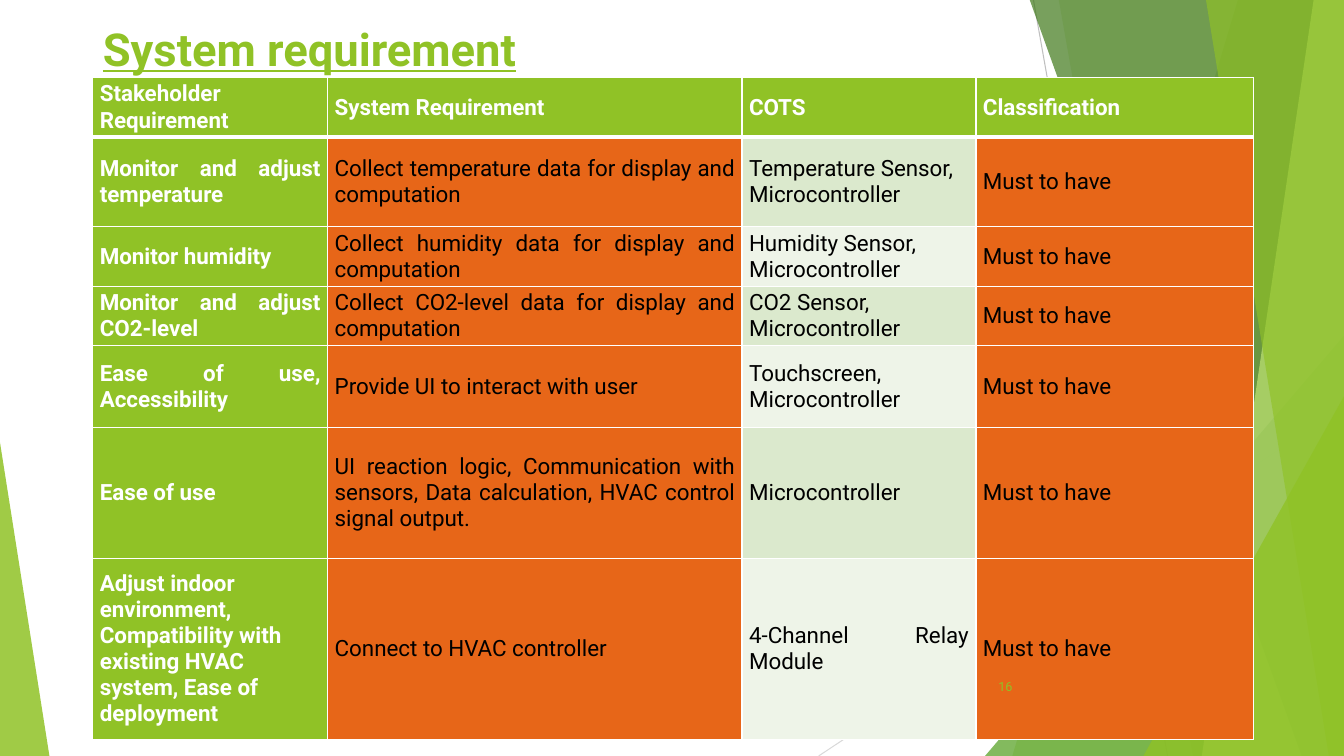
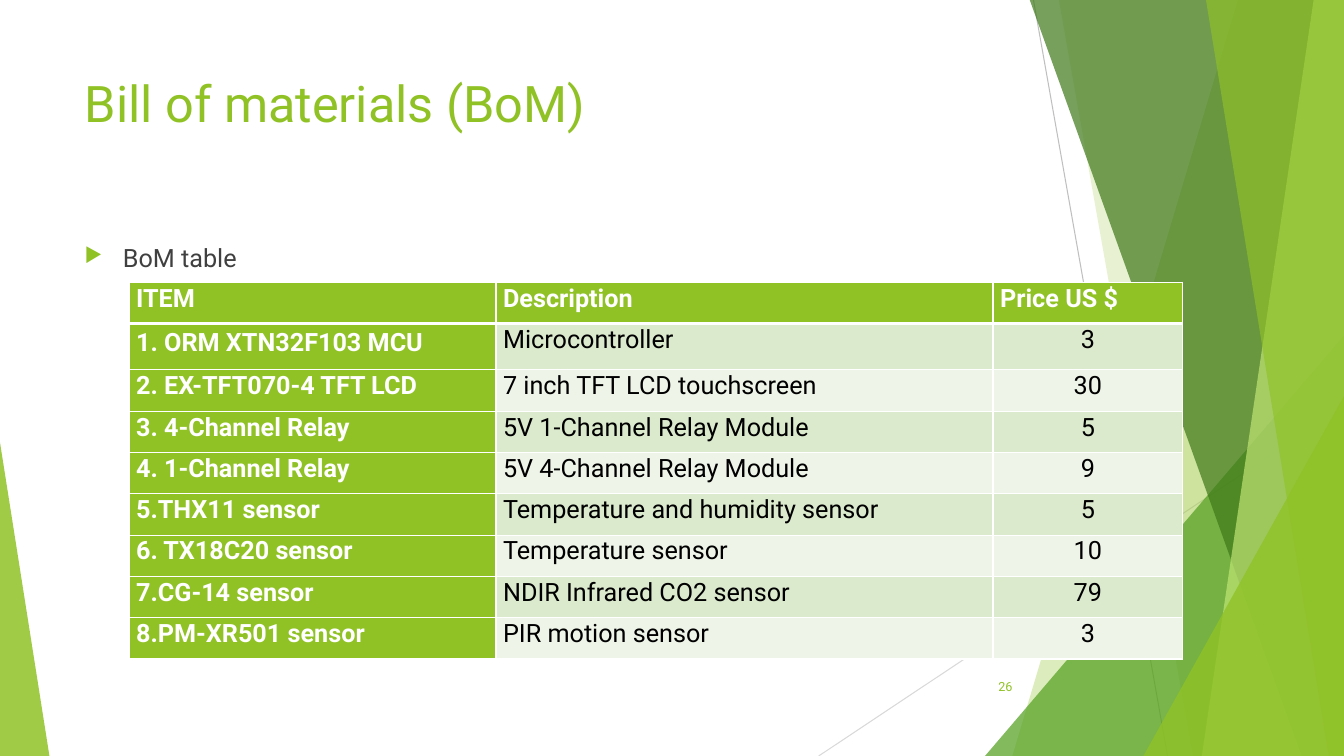
from dataclasses import dataclass, field
from typing import Any

from lxml.etree import SubElement
from pptx import Presentation
from pptx.dml.color import RGBColor
from pptx.enum.shapes import MSO_CONNECTOR, MSO_SHAPE
from pptx.enum.text import MSO_ANCHOR, MSO_AUTO_SIZE, PP_ALIGN
from pptx.oxml import parse_xml
from pptx.oxml.ns import nsdecls, qn
from pptx.util import Inches, Pt

FONT = "Roboto"
GREEN = "90C226"
MID_GREEN = "54A021"
DARK_GREEN = "3F7819"
LIME = "C0E474"
ORANGE = "E76618"
BAND_DARK = "DBE9CD"
BAND_LIGHT = "EEF4E8"
WHITE = "FFFFFF"
BLACK = "000000"
GREY = "404040"

SLIDE_WIDTH, SLIDE_HEIGHT = 13.33, 7.5
BAND_TOP = -0.01
LEFT, JUSTIFY, CENTER = PP_ALIGN.LEFT, PP_ALIGN.JUSTIFY, PP_ALIGN.CENTER

Box = tuple[float, float, float, float]


@dataclass(frozen=True)
class Ray:
    start: tuple[float, float]
    end: tuple[float, float]
    color: str


@dataclass(frozen=True)
class Band:
    """A panel reaching the right edge, with a slanted left side."""
    top_left: float
    bottom_left: float
    color: str
    opacity: int


@dataclass(frozen=True)
class Triangle:
    box: Box
    apex: float
    color: str
    opacity: int


@dataclass(frozen=True)
class TableDesign:
    left: float
    top: float
    column_widths: list[float]
    row_heights: list[float]
    font_size: float
    anchor: MSO_ANCHOR
    line_spacing: float
    alignments: list[PP_ALIGN]
    column_fills: list[tuple[str, str]]
    rows: list[tuple[str, ...]]
    exceptions: dict[tuple[int, int], dict[str, Any]] = field(default_factory=dict)


DECORATIONS = [
    Ray((10.25, 0), (11.58, SLIDE_HEIGHT), "BFBFBF"),
    Ray((SLIDE_WIDTH, 4.03), (8.12, SLIDE_HEIGHT), "D9D9D9"),
    Band(12.28, 10.04, GREEN, 30),
    Band(10.5, 11.83, GREEN, 20),
    Triangle((9.77, 3.33, 3.56, 4.17), 1, MID_GREEN, 72),
    Band(10.21, 12.91, DARK_GREEN, 70),
    Band(13.03, 11.92, LIME, 70),
    Band(11.96, 13.18, GREEN, 65),
    Triangle((11.34, 3.93, 1.99, 3.57), 1, GREEN, 80),
    Triangle((0, 4.39, 0.49, 3.11), 0, GREEN, 85),
]

GREEN_COLUMN = (GREEN, GREEN)
ORANGE_COLUMN = (ORANGE, ORANGE)
BANDED_COLUMN = (BAND_DARK, BAND_LIGHT)
MUST = "Must to have"

REQUIREMENTS = TableDesign(
    left=0.92, top=0.77,
    column_widths=[2.33, 4.11, 2.32, 2.75],
    row_heights=[0.59, 0.89, 0.59, 0.59, 0.81, 1.3, 1.8],
    font_size=16, anchor=MSO_ANCHOR.MIDDLE, line_spacing=1.0,
    alignments=[JUSTIFY, JUSTIFY, LEFT, JUSTIFY],
    column_fills=[GREEN_COLUMN, ORANGE_COLUMN, BANDED_COLUMN, ORANGE_COLUMN],
    rows=[
        ("Stakeholder Requirement", "System Requirement", "COTS", "Classification"),
        ("Monitor and adjust temperature",
         "Collect temperature data for display and computation",
         "Temperature Sensor, Microcontroller", MUST),
        ("Monitor humidity", "Collect humidity data for display and computation",
         "Humidity Sensor, Microcontroller", MUST),
        ("Monitor and adjust CO2-level",
         "Collect CO2-level data for display and computation",
         "CO2 Sensor, Microcontroller", MUST),
        ("Ease of use, Accessibility", "Provide UI to interact with user",
         "Touchscreen, Microcontroller", MUST),
        ("Ease of use",
         "UI reaction logic, Communication with sensors, Data calculation, "
         "HVAC control signal output.", "Microcontroller", MUST),
        ("Adjust indoor environment, Compatibility with existing HVAC system, "
         "Ease of deployment", "Connect to HVAC controller",
         "4-Channel Relay Module", MUST),
    ],
    exceptions={
        (0, 0): {"alignment": LEFT},
        (6, 0): {"alignment": LEFT},
        (6, 2): {"alignment": JUSTIFY},
    },
)

MATERIALS = TableDesign(
    left=1.28, top=2.8,
    column_widths=[3.64, 4.93, 1.88],
    row_heights=[0.41, 0.46] + [0.41] * 7,
    font_size=18, anchor=MSO_ANCHOR.TOP, line_spacing=1.05,
    alignments=[JUSTIFY, JUSTIFY, CENTER],
    column_fills=[GREEN_COLUMN, BANDED_COLUMN, BANDED_COLUMN],
    rows=[
        ("ITEM", "Description", "Price US $"),
        ("1. ORM XTN32F103 MCU", "Microcontroller", "3"),
        ("2. EX-TFT070-4 TFT LCD", "7 inch TFT LCD touchscreen", "30"),
        ("3. 4-Channel Relay", "5V 1-Channel Relay Module", "5"),
        ("4. 1-Channel Relay", "5V 4-Channel Relay Module", "9"),
        ("5.THX11 sensor", "Temperature and humidity sensor", "5"),
        ("6. TX18C20 sensor", "Temperature sensor", "10"),
        ("7.CG-14 sensor", "NDIR Infrared CO2 sensor", "79"),
        ("8.PM-XR501 sensor", "PIR motion sensor", "3"),
    ],
    exceptions={
        (0, 2): {"alignment": JUSTIFY},
        (1, 0): {"alignment": LEFT, "line_spacing": 1.15, "space_after": Pt(10)},
    },
)


def rgb(color: str) -> RGBColor:
    return RGBColor.from_string(color)


def set_attributes(target: Any, values: dict[str, Any]) -> None:
    for name, value in values.items():
        setattr(target, name, value)


def write_text(paragraph, text: str, size: float, color: str, **font_values: Any) -> None:
    run = paragraph.add_run()
    run.text = text
    set_attributes(run.font, {"name": FONT, "size": Pt(size), **font_values})
    run.font.color.rgb = rgb(color)


def paint(shape, color: str, opacity: int) -> None:
    shape.shadow.inherit = False
    shape.line.fill.background()
    shape.fill.solid()
    shape.fill.fore_color.rgb = rgb(color)
    color_element = shape.element.xpath("./p:spPr/a:solidFill/a:srgbClr")[0]
    SubElement(color_element, qn("a:alpha"), val=str(opacity * 1000))


def draw_ray(slide, ray: Ray):
    points = [Inches(value) for value in (*ray.start, *ray.end)]
    connector = slide.shapes.add_connector(MSO_CONNECTOR.STRAIGHT, *points)
    connector.line.color.rgb = rgb(ray.color)
    connector.line.width = Pt(0.75)
    SubElement(connector.element.spPr, qn("a:effectLst"))
    return connector


def draw_band(slide, band: Band):
    corners = [
        (band.top_left, BAND_TOP), (SLIDE_WIDTH, BAND_TOP),
        (SLIDE_WIDTH, SLIDE_HEIGHT), (band.bottom_left, SLIDE_HEIGHT),
    ]
    start, *others = [(Inches(x), Inches(y)) for x, y in corners]
    builder = slide.shapes.build_freeform(*start)
    builder.add_line_segments(others, close=True)
    shape = builder.convert_to_shape()
    paint(shape, band.color, band.opacity)
    return shape


def draw_triangle(slide, triangle: Triangle):
    shape = slide.shapes.add_shape(
        MSO_SHAPE.ISOSCELES_TRIANGLE, *map(Inches, triangle.box))
    shape.adjustments[0] = triangle.apex
    paint(shape, triangle.color, triangle.opacity)
    return shape


def decorate_layout(layout, slide) -> None:
    """Draw the decorations on a slide, then move them to its layout."""
    painters = {Ray: draw_ray, Band: draw_band, Triangle: draw_triangle}
    for decoration in DECORATIONS:
        shape = painters[type(decoration)](slide, decoration)
        layout.shapes.element.append(shape.element)


def set_title(slide, text: str, box: Box, size: float, **font_values: Any) -> None:
    title = slide.shapes.title
    sides = zip(("left", "top", "width", "height"), map(Inches, box))
    set_attributes(title, dict(sides))
    set_attributes(title.text_frame, {
        "word_wrap": True, "auto_size": MSO_AUTO_SIZE.NONE,
        "vertical_anchor": MSO_ANCHOR.TOP,
    })
    paragraph = title.text_frame.paragraphs[0]
    paragraph.alignment = LEFT
    write_text(paragraph, text, size, GREEN, **font_values)


def add_text(slide, text: str, box: Box, size: float, color: str,
             alignment: PP_ALIGN, anchor: MSO_ANCHOR):
    shape = slide.shapes.add_textbox(*map(Inches, box))
    set_attributes(shape.text_frame, {"word_wrap": True, "vertical_anchor": anchor})
    paragraph = shape.text_frame.paragraphs[0]
    paragraph.alignment = alignment
    write_text(paragraph, text, size, color)
    return shape


def add_bullet_text(slide, text: str, box: Box) -> None:
    shape = add_text(slide, text, box, 18, GREY, LEFT, MSO_ANCHOR.TOP)
    shape.text_frame.paragraphs[0].space_before = Pt(10)
    properties = shape.element.xpath(".//a:pPr")[0]
    properties.set("marL", str(Inches(0.38)))
    properties.set("indent", str(Inches(-0.38)))
    bullet_color = SubElement(properties, qn("a:buClr"))
    SubElement(bullet_color, qn("a:srgbClr"), val=GREEN)
    SubElement(properties, qn("a:buSzPct"), val="80000")
    SubElement(properties, qn("a:buChar"), char="▶")


def add_page_number(slide, number: int) -> None:
    add_text(slide, str(number), (9.39, 6.61, 0.75, 0.4), 9, GREEN,
             PP_ALIGN.RIGHT, MSO_ANCHOR.MIDDLE)


def set_borders(cell_properties, row: int) -> None:
    """White cell edges, thicker between the header and the first row."""
    widths = {"L": 1, "R": 1, "T": 3 if row == 1 else 1, "B": 3 if row == 0 else 1}
    for index, (side, width) in enumerate(widths.items()):
        cell_properties.insert(index, parse_xml(
            f'<a:ln{side} {nsdecls("a")} w="{Pt(width)}"><a:solidFill>'
            f'<a:srgbClr val="{WHITE}"/></a:solidFill></a:ln{side}>'))


def fill_cell(cell, design: TableDesign, row: int, column: int) -> None:
    is_heading = row == 0 or column == 0
    set_attributes(cell, {
        "margin_left": Inches(0.07), "margin_right": Inches(0.07),
        "margin_top": 0, "margin_bottom": 0, "vertical_anchor": design.anchor,
    })
    cell.fill.solid()
    fill = GREEN if row == 0 else design.column_fills[column][(row - 1) % 2]
    cell.fill.fore_color.rgb = rgb(fill)
    paragraph = cell.text_frame.paragraphs[0]
    set_attributes(paragraph, {
        "alignment": design.alignments[column],
        "line_spacing": design.line_spacing,
        **design.exceptions.get((row, column), {}),
    })
    write_text(paragraph, design.rows[row][column], design.font_size,
               WHITE if is_heading else BLACK, bold=is_heading)


def add_styled_table(slide, design: TableDesign) -> None:
    frame = slide.shapes.add_table(
        len(design.rows), len(design.column_widths),
        Inches(design.left), Inches(design.top),
        Inches(sum(design.column_widths)), Inches(sum(design.row_heights)))
    table = frame.table
    table.horz_banding = False
    for column, width in zip(table.columns, design.column_widths):
        column.width = Inches(width)
    for row_index, row in enumerate(table.rows):
        row.height = Inches(design.row_heights[row_index])
        for column_index, cell in enumerate(row.cells):
            fill_cell(cell, design, row_index, column_index)
    for index, cell_properties in enumerate(frame.element.xpath(".//a:tcPr")):
        set_borders(cell_properties, index // len(design.column_widths))


def main() -> None:
    presentation = Presentation()
    presentation.slide_width = Inches(SLIDE_WIDTH)
    presentation.slide_height = Inches(SLIDE_HEIGHT)
    layout = presentation.slide_layouts.get_by_name("Title Only")

    requirements = presentation.slides.add_slide(layout)
    decorate_layout(layout, requirements)
    set_title(requirements, "System requirement", (0.92, 0.16, 11.5, 0.61), 32.4,
              bold=True, underline=True)
    add_styled_table(requirements, REQUIREMENTS)
    add_page_number(requirements, 16)

    materials = presentation.slides.add_slide(layout)
    set_title(materials, "Bill of materials (BoM)", (0.74, 0.67, 9.4, 1.44), 36)
    add_bullet_text(materials, "BoM table", (0.74, 2.36, 4.58, 4.24))
    add_styled_table(materials, MATERIALS)
    add_page_number(materials, 26)

    presentation.save("out.pptx")


if __name__ == "__main__":
    main()
